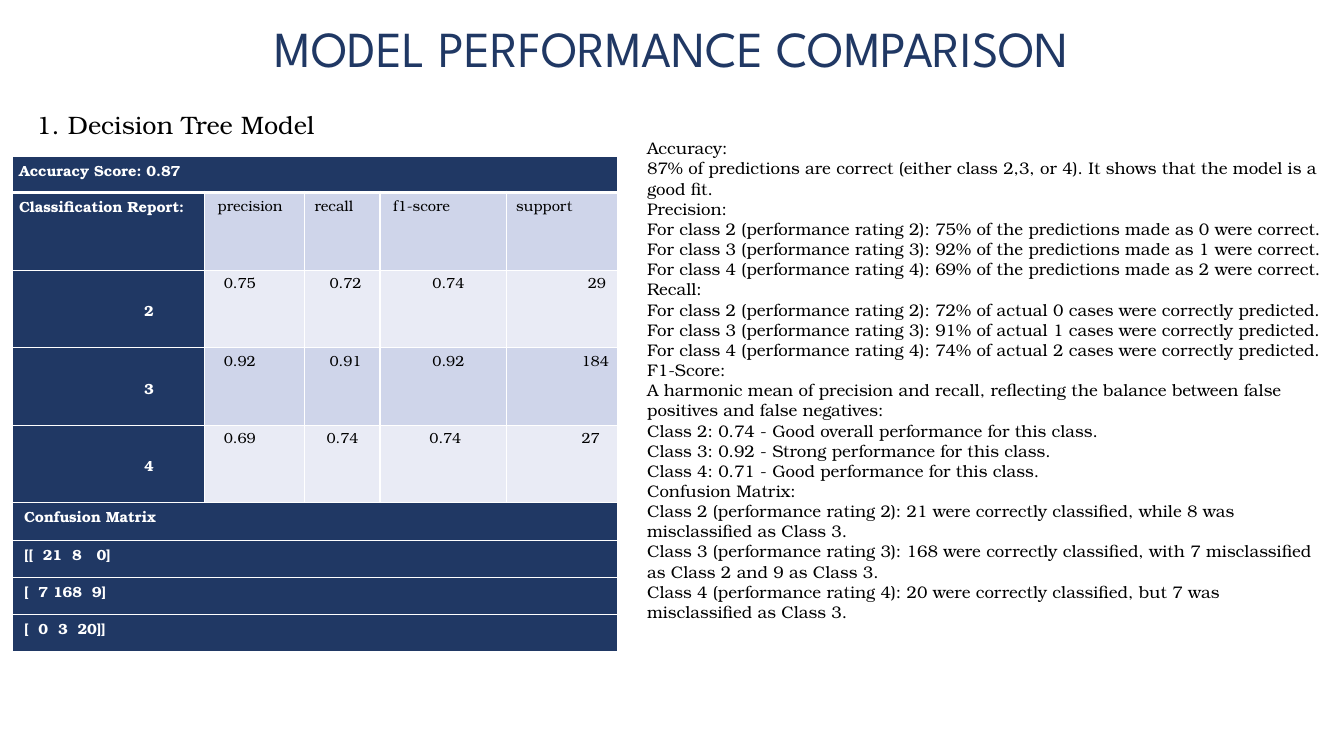
from dataclasses import dataclass

from lxml.etree import SubElement
from pptx import Presentation
from pptx.dml.color import RGBColor
from pptx.enum.text import MSO_ANCHOR, MSO_AUTO_SIZE, PP_ALIGN
from pptx.oxml.ns import qn
from pptx.util import Pt

PX = 9144  # EMU per px: 100 px to the inch


@dataclass(frozen=True)
class Theme:
    navy: str = "203864"
    band_dark: str = "CFD5EA"
    band_light: str = "E9EBF5"
    white: str = "FFFFFF"
    black: str = "000000"
    title_font: str = "League Spartan"
    body_font: str = "TeX Gyre Bonum"
    title_size: float = 36
    heading_size: float = 18
    body_size: float = 12
    table_size: float = 10.5
    thin: float = 1
    thick: float = 3


class SlideBuilder:
    def __init__(self, page, theme):
        self.page = page
        self.theme = theme

    def style(self, para, name, size, color, bold=False):
        para.font.name = name
        para.font.size = Pt(size)
        para.font.bold = bold
        para.font.color.rgb = RGBColor.from_string(color)

    def title(self, text, left, top, width, height):
        box = self.page.shapes.title
        box.left, box.top, box.width, box.height = (
            value * PX for value in (left, top, width, height))
        frame = box.text_frame
        frame.text = text
        frame.auto_size = MSO_AUTO_SIZE.NONE
        frame.vertical_anchor = MSO_ANCHOR.TOP
        para = frame.paragraphs[0]
        para.alignment = PP_ALIGN.CENTER
        self.style(para, self.theme.title_font, self.theme.title_size, self.theme.navy)

    def text(self, lines, left, top, width, height, size):
        box = self.page.shapes.add_textbox(left * PX, top * PX, width * PX, height * PX)
        frame = box.text_frame
        frame.word_wrap = True
        frame.text = "\n".join(lines)
        for para in frame.paragraphs:
            self.style(para, self.theme.body_font, size, self.theme.black)

    def table(self, left, top, widths, heights):
        frame = self.page.shapes.add_table(
            len(heights), len(widths), left * PX, top * PX,
            sum(widths) * PX, sum(heights) * PX)
        table = frame.table
        table.first_row = table.horz_banding = False
        for column, width in zip(table.columns, widths):
            column.width = width * PX
        for row, height in zip(table.rows, heights):
            row.height = height * PX
        return table

    def cell(self, cell, text, fill, indent=0, anchor=MSO_ANCHOR.TOP):
        is_label = fill == self.theme.navy
        cell.fill.solid()
        cell.fill.fore_color.rgb = RGBColor.from_string(fill)
        cell.margin_left = cell.margin_right = 7 * PX
        cell.margin_top = cell.margin_bottom = 0
        cell.vertical_anchor = anchor
        cell.text = text
        para = cell.text_frame.paragraphs[0]
        para.line_spacing = 1.15
        if indent:
            properties = para._p.get_or_add_pPr()
            properties.set("marL", str(indent * PX))
            properties.set("indent", "0")
        self.style(para, self.theme.body_font, self.theme.table_size,
                   self.theme.white if is_label else self.theme.black, is_label)

    def borders(self, cell, bottom):
        properties = cell._tc.get_or_add_tcPr()
        sides = {"lnL": self.theme.thin, "lnR": self.theme.thin,
                 "lnT": self.theme.thin, "lnB": bottom}
        for position, (side, width) in enumerate(sides.items()):
            line = SubElement(properties, qn(f"a:{side}"), w=str(Pt(width)))
            fill = SubElement(line, qn("a:solidFill"))
            SubElement(fill, qn("a:srgbClr"), val=self.theme.white)
            properties.insert(position, line)


# Each score is a text with its left indent in px
METRICS = [("precision", 6), ("recall", 3), ("f1-score", 6), ("support", 3)]
CLASS_SCORES = {
    "2": [("0.75", 12), ("0.72", 18), ("0.74", 45), ("29", 74)],
    "3": [("0.92", 12), ("0.91", 18), ("0.92", 45), ("184", 68)],
    "4": [("0.69", 12), ("0.74", 15), ("0.74", 42), ("27", 68)],
}
MATRIX_ROWS = ["Confusion Matrix", "[[  21  8   0]", "[  7 168  9]", "[  0  3  20]]"]
FINDINGS = [
    "Accuracy:",
    "87% of predictions are correct (either class 2,3, or 4). It shows that the model is a good fit.",
    "Precision:",
    "For class 2 (performance rating 2): 75% of the predictions made as 0 were correct.",
    "For class 3 (performance rating 3): 92% of the predictions made as 1 were correct.",
    "For class 4 (performance rating 4): 69% of the predictions made as 2 were correct.",
    "Recall:",
    "For class 2 (performance rating 2): 72% of actual 0 cases were correctly predicted.",
    "For class 3 (performance rating 3): 91% of actual 1 cases were correctly predicted.",
    "For class 4 (performance rating 4): 74% of actual 2 cases were correctly predicted.",
    "F1-Score:",
    "A harmonic mean of precision and recall, reflecting the balance between false positives"
    " and false negatives:",
    "Class 2: 0.74 - Good overall performance for this class.",
    "Class 3: 0.92 - Strong performance for this class.",
    "Class 4: 0.71 - Good performance for this class.",
    "Confusion Matrix:",
    "Class 2 (performance rating 2): 21 were correctly classified, while 8 was misclassified"
    " as Class 3.",
    "Class 3 (performance rating 3): 168 were correctly classified, with 7 misclassified"
    " as Class 2 and 9 as Class 3.",
    "Class 4 (performance rating 4): 20 were correctly classified, but 7 was misclassified"
    " as Class 3.",
]


def add_report(builder):
    theme = builder.theme
    table = builder.table(12, 155, [191, 99, 75, 125, 111], [36] + [77] * 4 + [37] * 4)

    # Full-width rows: accuracy on top, confusion matrix below
    full_rows = {0: ("Accuracy Score: 0.87", 0)}
    full_rows.update({row: (text, 5) for row, text in enumerate(MATRIX_ROWS, 5)})
    for row, (text, indent) in full_rows.items():
        table.cell(row, 0).merge(table.cell(row, 4))
        builder.cell(table.cell(row, 0), text, theme.navy, indent)

    # Classification report
    builder.cell(table.cell(1, 0), "Classification Report:", theme.navy)
    for row, label in enumerate(CLASS_SCORES, 2):
        builder.cell(table.cell(row, 0), label, theme.navy, 124, MSO_ANCHOR.MIDDLE)
    for row, scores in enumerate([METRICS, *CLASS_SCORES.values()], 1):
        band = theme.band_dark if row % 2 else theme.band_light
        for column, (text, indent) in enumerate(scores, 1):
            builder.cell(table.cell(row, column), text, band, indent)

    # White grid, heavier under the accuracy row
    for row in range(len(table.rows)):
        for column in range(len(table.columns)):
            builder.borders(table.cell(row, column), theme.thin if row else theme.thick)


def main():
    deck = Presentation()
    deck.slide_width, deck.slide_height = 1333 * PX, 750 * PX
    theme = Theme()
    builder = SlideBuilder(deck.slides.add_slide(deck.slide_layouts[5]), theme)

    # Title, report table, heading and findings
    builder.title("MODEL PERFORMANCE COMPARISON", 98, 12, 1137, 71)
    add_report(builder)
    builder.text(["1. Decision Tree Model"], 26, 104, 689, 40, theme.heading_size)
    builder.text(FINDINGS, 632, 132, 689, 616, theme.body_size)

    deck.save("out.pptx")


if __name__ == "__main__":
    main()
